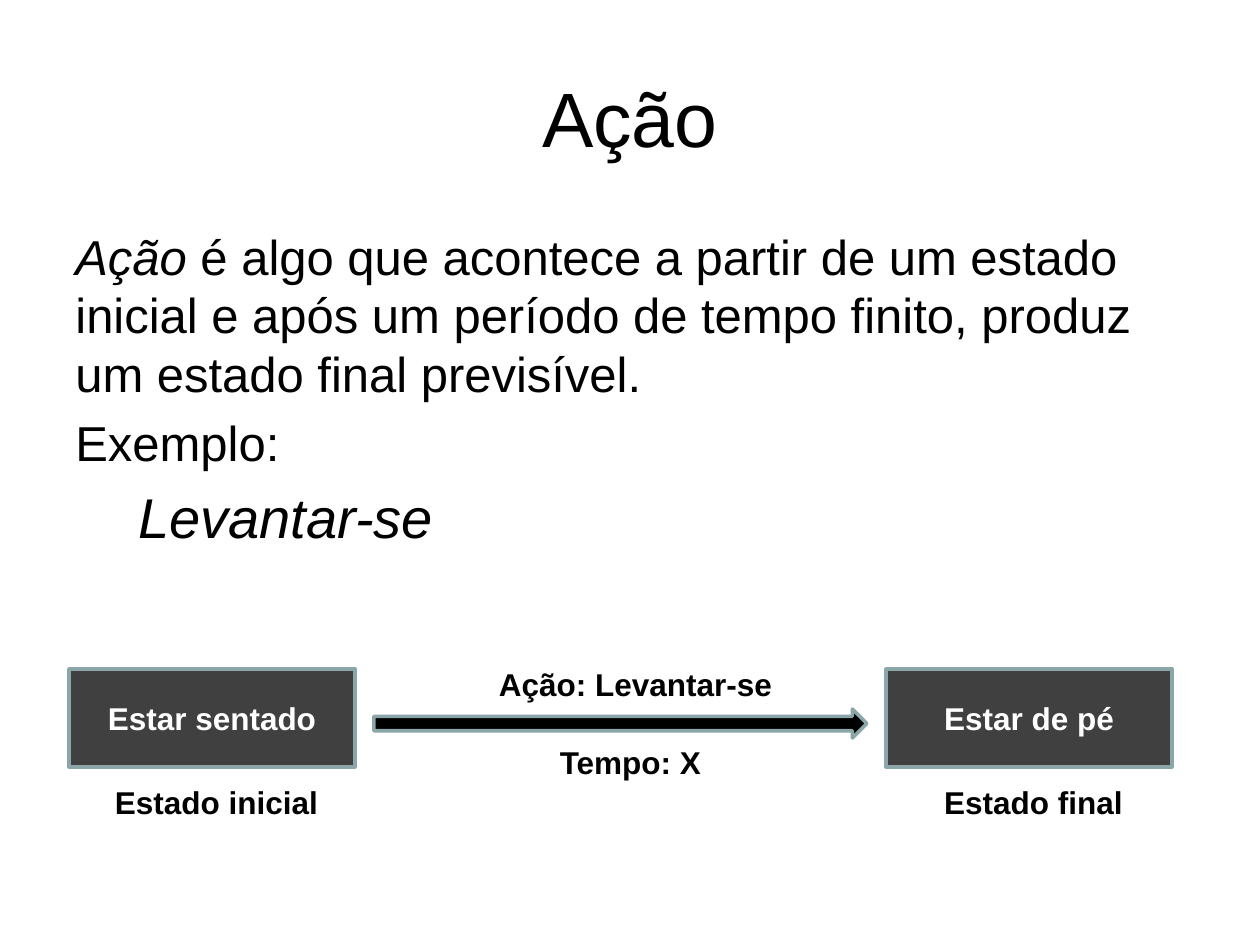
from pptx import Presentation
from pptx.dml.color import RGBColor
from pptx.enum.shapes import MSO_SHAPE
from pptx.enum.text import MSO_ANCHOR, PP_ALIGN
from pptx.util import Emu, Pt

RECTANGLE = MSO_SHAPE.RECTANGLE
RIGHT_ARROW = MSO_SHAPE.RIGHT_ARROW
MIDDLE = MSO_ANCHOR.MIDDLE
CENTER = PP_ALIGN.CENTER

EMU_PER_PX = 914400 / 126
FONT = "Arial"
COLORS = {
    "text": "000000",
    "box": "404040",
    "box_text": "FFFFFF",
    "outline": "8AA6A8",
    "arrow": "000000",
}


def px(*lengths):
    return [Emu(round(length * EMU_PER_PX)) for length in lengths]


def color(name):
    return RGBColor.from_string(COLORS[name])


class SlideBuilder:
    """Holds the style and the current slide."""

    def __init__(self, presentation):
        self.slide = presentation.slides.add_slide(presentation.slide_layouts[5])

    def format_run(self, run, size, color_name="text", bold=False, italic=False):
        font = run.font
        font.name, font.size = FONT, Pt(size)
        font.bold, font.italic = bold, italic
        font.color.rgb = color(color_name)

    def centered_text(self, shape, text, size, color_name="text", bold=True):
        shape.text_frame.text = text
        paragraph = shape.text_frame.paragraphs[0]
        paragraph.alignment = CENTER
        self.format_run(paragraph.runs[0], size, color_name, bold)

    def title(self, text, left, top, width, height):
        shape = self.slide.shapes.title
        shape.left, shape.top, shape.width, shape.height = px(left, top, width, height)
        self.centered_text(shape, text, 44, bold=False)
        shape.text_frame.vertical_anchor = MIDDLE

    def body(self, paragraphs, left, top, width, height):
        """Each paragraph is a list of (text, size, italic) runs."""
        box = self.slide.shapes.add_textbox(*px(left, top, width, height))
        frame = box.text_frame
        frame.word_wrap = True
        for index, runs in enumerate(paragraphs):
            paragraph = frame.add_paragraph() if index else frame.paragraphs[0]
            paragraph.space_before = Pt(round(0.2 * runs[0][1], 1))
            for text, size, italic in runs:
                run = paragraph.add_run()
                run.text = text
                self.format_run(run, size, italic=italic)

    def label(self, text, left, top, width, height=50):
        box = self.slide.shapes.add_textbox(*px(left, top, width, height))
        box.text_frame.word_wrap = True
        self.centered_text(box, text, 18)

    def outlined_shape(self, kind, fill, left, top, width, height):
        shape = self.slide.shapes.add_shape(kind, *px(left, top, width, height))
        shape.shadow.inherit = False
        shape.fill.solid()
        shape.fill.fore_color.rgb = color(fill)
        shape.line.color.rgb = color("outline")
        shape.line.width = Pt(2)
        return shape

    def state_box(self, text, left, top=669, width=286, height=98):
        shape = self.outlined_shape(RECTANGLE, "box", left, top, width, height)
        self.centered_text(shape, text, 18, "box_text")
        shape.text_frame.vertical_anchor = MIDDLE

    def arrow(self, left, top, width, height):
        self.outlined_shape(RIGHT_ARROW, "arrow", left, top, width, height)


def main():
    presentation = Presentation()
    presentation.slide_width, presentation.slide_height = px(1260, 945)
    builder = SlideBuilder(presentation)

    builder.title("Ação", 63, 38, 1134, 158)
    definition = (
        " é algo que acontece a partir de um estado inicial e após um período "
        "de tempo finito, produz um estado final previsível."
    )
    builder.body(
        [
            [("Ação", 28, True), (definition, 28, False)],
            [("Exemplo:", 28, False)],
            [("\tLevantar-se", 32, True)],
        ],
        63, 220, 1138, 389,
    )

    builder.state_box("Estar sentado", 69)
    builder.state_box("Estar de pé", 886)
    builder.arrow(374, 709, 493, 29)
    for text, left, top, width in (
        ("Ação: Levantar-se", 483, 659, 305),
        ("Tempo: X", 522, 737, 217),
        ("Estado inicial", 98, 777, 237),
        ("Estado final", 925, 777, 217),
    ):
        builder.label(text, left, top, width)

    presentation.save("out.pptx")


if __name__ == "__main__":
    main()
